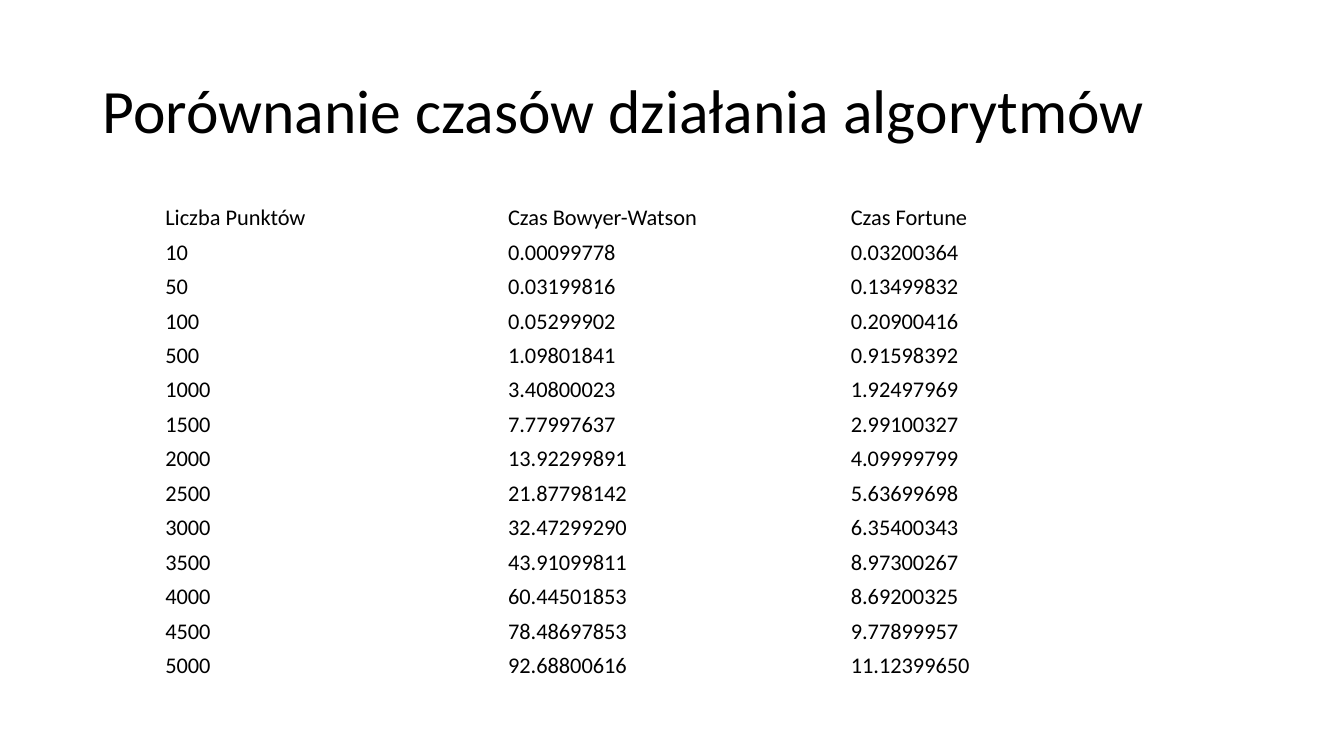
import pptx
import pptx.dml.color
import pptx.enum.text
import pptx.util

PX = 2286
FONT = "Calibri"
COLORS = {"text": "000000"}
HEADERS = ("Liczba Punktów", "Czas Bowyer-Watson", "Czas Fortune")
TIMES = (
    ("10", "0.00099778", "0.03200364"),
    ("50", "0.03199816", "0.13499832"),
    ("100", "0.05299902", "0.20900416"),
    ("500", "1.09801841", "0.91598392"),
    ("1000", "3.40800023", "1.92497969"),
    ("1500", "7.77997637", "2.99100327"),
    ("2000", "13.92299891", "4.09999799"),
    ("2500", "21.87798142", "5.63699698"),
    ("3000", "32.47299290", "6.35400343"),
    ("3500", "43.91099811", "8.97300267"),
    ("4000", "60.44501853", "8.69200325"),
    ("4500", "78.48697853", "9.77899957"),
    ("5000", "92.68800616", "11.12399650"),
)


def px(length):
    return pptx.util.Emu(length * PX)


def write_text(frame, text, size, color="text", spacing=None):
    para = frame.paragraphs[0]
    para.line_spacing = spacing
    span = para.add_run()
    span.text = text
    span.font.name = FONT
    span.font.size = pptx.util.Pt(size)
    span.font.color.rgb = pptx.dml.color.RGBColor.from_string(COLORS[color])


def add_title(page, text, left, top, width, height):
    box = page.shapes.add_textbox(px(left), px(top), px(width), px(height))
    frame = box.text_frame
    frame.word_wrap = True
    frame.vertical_anchor = pptx.enum.text.MSO_ANCHOR.MIDDLE
    write_text(frame, text, size=44, spacing=0.9)


def fill_cell(cell, text):
    cell.fill.background()
    cell.vertical_anchor = pptx.enum.text.MSO_ANCHOR.MIDDLE
    cell.margin_left = cell.margin_right = px(28)
    cell.margin_top = cell.margin_bottom = px(15)
    write_text(cell.text_frame, text, size=16)


def add_times_table(page, rows, left, top, column_width, row_height):
    columns = len(rows[0])
    frame = page.shapes.add_table(
        len(rows), columns, px(left), px(top),
        px(column_width * columns), px(row_height * len(rows)))
    table = frame.table
    table.first_row = False
    table.horz_banding = False
    for row_index, values in enumerate(rows):
        table.rows[row_index].height = px(row_height)
        for column_index, value in enumerate(values):
            fill_cell(table.cell(row_index, column_index), value)


def main():
    deck = pptx.Presentation()
    deck.slide_width = px(5333)
    deck.slide_height = px(3000)
    page = deck.slides.add_slide(deck.slide_layouts[6])
    add_title(page, "Porównanie czasów działania algorytmów", 368, 160, 4600, 580)
    add_times_table(page, (HEADERS, *TIMES), 628, 796, column_width=1360, row_height=136)
    deck.save("out.pptx")


if __name__ == "__main__":
    main()
